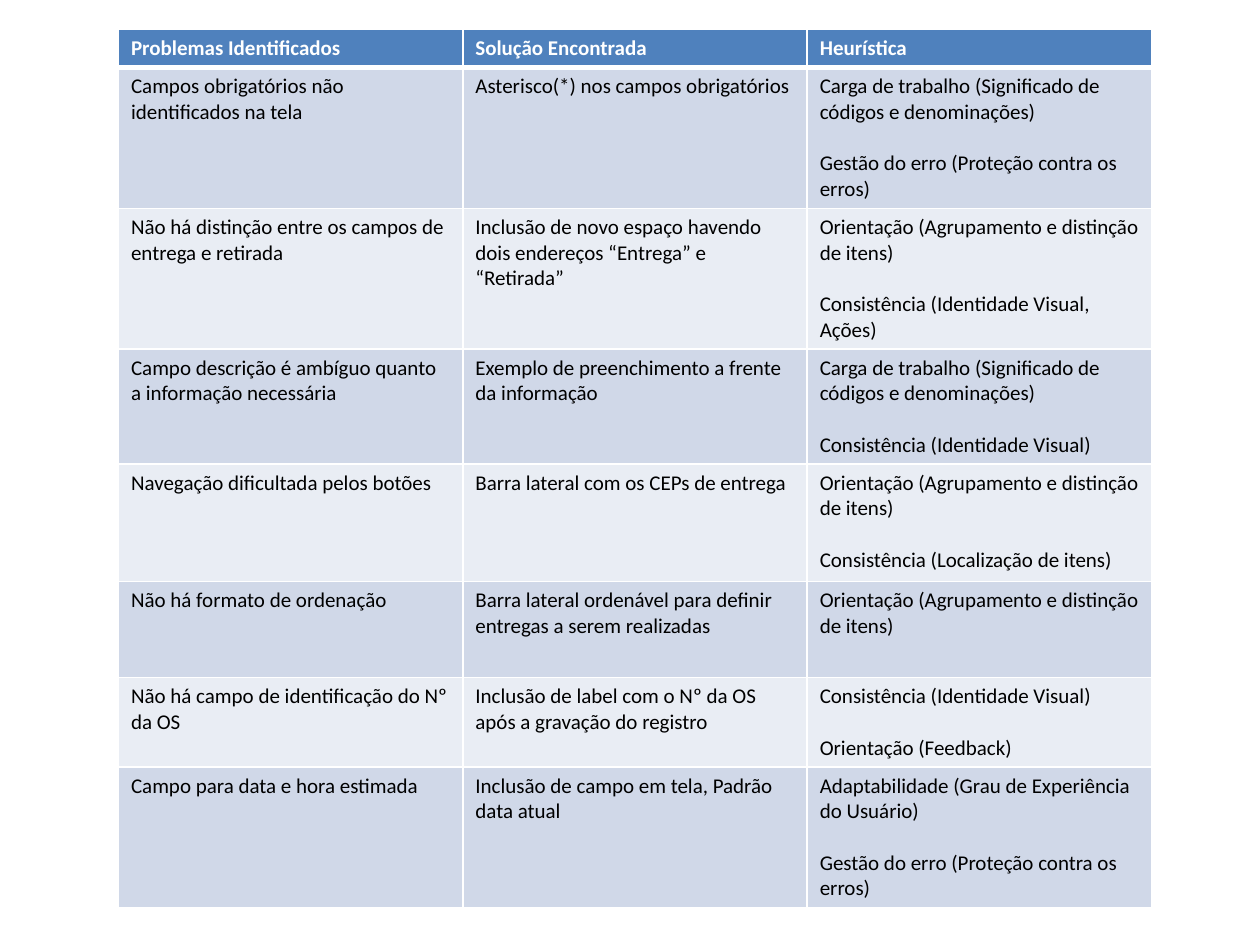
from dataclasses import dataclass

from lxml import etree
from pptx import Presentation, util as u
from pptx.dml.color import RGBColor
from pptx.oxml import ns


@dataclass(frozen=True)
class Theme:
    font: str = "Calibri"
    size: float = 12
    gap: float = 14.65
    header: str = "4F81BD"
    bands: tuple = ("D0D8E8", "E9EDF4")
    light: str = "FFFFFF"
    dark: str = "000000"
    line: float = 1
    header_line: float = 3


THEME = Theme()
LEFT, TOP, COL_WIDTH, TABLE_HEIGHT = 67.7, 16.8, 196.8, 496.8
ROW_HEIGHTS = [19.7, 72, 72, 62, 67, 55, 51, 72]
HEADER = ["Problemas Identificados", "Solução Encontrada", "Heurística"]
WORKLOAD = "Carga de trabalho (Significado de códigos e denominações)"
GUIDANCE = "Orientação (Agrupamento e distinção de itens)"
ERRORS = "Gestão do erro (Proteção contra os erros)"
IDENTITY = "Consistência (Identidade Visual)"
ROWS = [
    ("Campos obrigatórios não identificados na tela",
     "Asterisco(*) nos campos obrigatórios",
     [WORKLOAD, ERRORS]),
    ("Não há distinção entre os campos de entrega e retirada",
     "Inclusão de novo espaço havendo dois endereços “Entrega” e “Retirada”",
     [GUIDANCE, "Consistência (Identidade Visual, Ações)"]),
    ("Campo descrição é ambíguo quanto a informação necessária",
     "Exemplo de preenchimento a frente da informação",
     [WORKLOAD, IDENTITY]),
    ("Navegação dificultada pelos botões",
     "Barra lateral com os CEPs de entrega",
     [GUIDANCE, "Consistência (Localização de itens)"]),
    ("Não há formato de ordenação",
     "Barra lateral ordenável para definir entregas a serem realizadas",
     [GUIDANCE]),
    ("Não há campo de identificação do Nº da OS",
     "Inclusão de label com o Nº da OS após a gravação do registro",
     [IDENTITY, "Orientação (Feedback)"]),
    ("Campo para data e hora estimada",
     "Inclusão de campo em tela, Padrão data atual",
     ["Adaptabilidade (Grau de Experiência do Usuário)", ERRORS]),
]


def write(tf, paragraphs, color, bold=False):
    for i, content in enumerate(paragraphs):
        p = tf.add_paragraph() if i else tf.paragraphs[0]
        p.space_before = u.Pt(THEME.gap if i else 0)
        r = p.add_run()
        r.text = content
        r.font.name = THEME.font
        r.font.size = u.Pt(THEME.size)
        r.font.bold = bold
        r.font.color.rgb = RGBColor.from_string(color)


def set_borders(cell, **widths):
    tc_pr = cell._tc.get_or_add_tcPr()
    for side, width in widths.items():
        ln = etree.SubElement(tc_pr, ns.qn(f"a:ln{side}"), w=str(u.Pt(width)))
        fill = etree.SubElement(ln, ns.qn("a:solidFill"))
        etree.SubElement(fill, ns.qn("a:srgbClr"), val=THEME.light)


def format_cell(cell, paragraphs, fill, color, borders, bold=False):
    write(cell.text_frame, paragraphs, color, bold)
    set_borders(cell, **borders)
    cell.fill.solid()
    cell.fill.fore_color.rgb = RGBColor.from_string(fill)


def add_problem_table(s):
    sp = s.shapes.add_table(len(ROWS) + 1, len(HEADER), u.Pt(LEFT), u.Pt(TOP),
                            u.Pt(COL_WIDTH * len(HEADER)), u.Pt(TABLE_HEIGHT))
    table = sp.table
    for column in table.columns:
        column.width = u.Pt(COL_WIDTH)
    for row, height in zip(table.rows, ROW_HEIGHTS):
        row.height = u.Pt(height)
    sp.height = u.Pt(TABLE_HEIGHT)

    thin = THEME.line
    header_borders = dict(L=thin, R=thin, T=thin, B=THEME.header_line)
    body_borders = dict(L=thin, R=thin, B=thin)
    for j, label in enumerate(HEADER):
        format_cell(table.cell(0, j), [label], THEME.header, THEME.light,
                    header_borders, bold=True)
    for i, (problem, solution, heuristics) in enumerate(ROWS):
        for j, paragraphs in enumerate(([problem], [solution], heuristics)):
            format_cell(table.cell(i + 1, j), paragraphs, THEME.bands[i % 2],
                        THEME.dark, body_borders)


def main():
    prs = Presentation()
    prs.slide_width, prs.slide_height = u.Pt(720), u.Pt(540)
    s = prs.slides.add_slide(prs.slide_layouts[6])
    add_problem_table(s)
    prs.save("out.pptx")


main()
